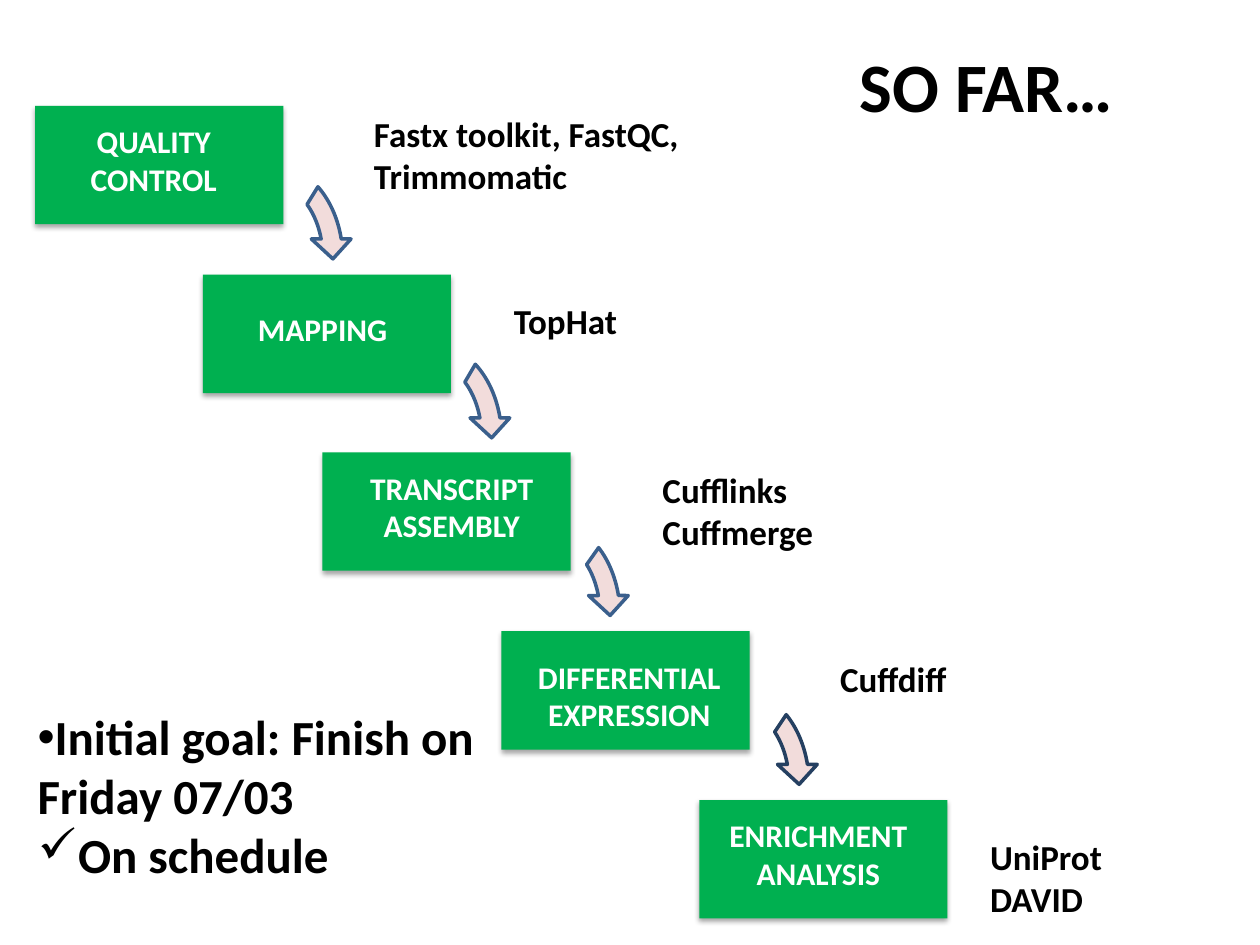
from lxml import etree
from pptx import Presentation, util as u
from pptx.dml.color import RGBColor
from pptx.enum import shapes, text
from pptx.oxml import parse_xml
from pptx.oxml.ns import qn

HUES = {"green": "00B050", "pink": "F2DCDB", "blue": "3A5F8C",
        "navy": "254061", "black": "000000", "white": "FFFFFF"}
NS = "http://schemas.openxmlformats.org/drawingml/2006/main"
SHADE = (f'<a:effectLst xmlns:a="{NS}"><a:outerShdw blurRad="39370" dist="22860" '
         'dir="5400000" rotWithShape="0"><a:srgbClr val="000000">'
         '<a:alpha val="35000"/></a:srgbClr></a:outerShdw></a:effectLst>')


class Deck:
    """Holds the style and the current slide, and draws each kind of element."""

    font = "Calibri"

    def __init__(self):
        self.prs = Presentation()
        self.prs.slide_width = u.Inches(10)
        self.prs.slide_height = u.Inches(7.5)
        self.slide = self.prs.slides.add_slide(self.prs.slide_layouts[6])

    def hue(self, name):
        return RGBColor.from_string(HUES[name])

    def text(self, spot, lines, size, hue="black", center=False, home=None, marks=()):
        box = (home or self.slide).shapes.add_textbox(*map(u.Inches, spot))
        frame = box.text_frame
        frame.word_wrap = True
        for i, line in enumerate(lines):
            para = frame.paragraphs[0] if i == 0 else frame.add_paragraph()
            para.alignment = text.PP_ALIGN.CENTER if center else text.PP_ALIGN.LEFT
            run = para.add_run()
            run.text = line
            run.font.name = self.font
            run.font.size = u.Pt(size)
            run.font.bold = True
            run.font.color.rgb = self.hue(hue)
            if marks:
                self.mark(para, *marks[i])
        return box

    def mark(self, para, face, char):
        props = para._p.get_or_add_pPr()
        props.set("marL", "0")
        props.set("indent", "0")
        etree.SubElement(props, qn("a:buFont")).set("typeface", face)
        etree.SubElement(props, qn("a:buChar")).set("char", char)

    def step(self, left, top, label, lines):
        group = self.slide.shapes.add_group_shape()
        spot = map(u.Inches, (left, top, 1.97, 0.94))
        card = group.shapes.add_shape(shapes.MSO_SHAPE.RECTANGLE, *spot)
        card.fill.solid()
        card.fill.fore_color.rgb = self.hue("green")
        card.line.fill.background()
        card._element.spPr.append(parse_xml(SHADE))
        self.text(label, lines, 18, "white", True, group)

    def arrow(self, left, top, start, edge):
        spot = map(u.Inches, (left, top, 1.26, 1.65))
        bend = self.slide.shapes.add_shape(shapes.MSO_SHAPE.CIRCULAR_ARROW, *spot)
        for i, value in enumerate((0.125, 11.423, 204.577, start, 0.125)):
            bend.adjustments[i] = value
        bend.shadow.inherit = False
        bend.fill.solid()
        bend.fill.fore_color.rgb = self.hue("pink")
        bend.line.color.rgb = self.hue(edge)
        bend.line.width = u.Pt(2)


STEPS = [
    (0.28, 0.84, (0.51, 0.92, 1.42, 0.71), ["QUALITY", "CONTROL"]),
    (1.61, 2.18, (1.85, 2.41, 1.42, 0.4), ["MAPPING"]),
    (2.56, 3.59, (2.8, 3.67, 1.57, 0.71), ["TRANSCRIPT ASSEMBLY"]),
    (3.98, 5.01, (4.13, 5.17, 1.73, 0.71), ["DIFFERENTIAL EXPRESSION"]),
    (5.55, 6.35, (5.63, 6.43, 1.73, 0.71), ["ENRICHMENT ANALYSIS"]),
]
ARROWS = [
    (1.54, 1.23, 181.02, "blue"),
    (2.8, 2.65, 180.26, "blue"),
    (3.74, 4.06, 183.2, "blue"),
    (5.24, 5.4, 182.29, "navy"),
]
TOOLS = [
    ((2.87, 0.84, 3.07, 0.77), ["Fastx toolkit, FastQC,", "Trimmomatic"]),
    ((3.98, 2.33, 1.5, 0.44), ["TopHat"]),
    ((5.16, 3.67, 1.5, 0.77), ["Cufflinks Cuffmerge"]),
    ((6.57, 5.17, 1.5, 0.44), ["Cuffdiff"]),
    ((7.76, 6.58, 1.5, 0.77), ["UniProt", "DAVID"]),
]

deck = Deck()
title = deck.text((6.57, 0.29, 2.52, 0.77), ["SO FAR…"], 39.6, center=True)
title.text_frame.vertical_anchor = text.MSO_ANCHOR.MIDDLE
for step in STEPS:
    deck.step(*step)
deck.text((0.2, 5.56, 3.7, 1.51),
          ["Initial goal: Finish on Friday 07/03", "On schedule"], 28,
          marks=[("Arial", "•"), ("Wingdings", "ü")])
for arrow in ARROWS:
    deck.arrow(*arrow)
for spot, lines in TOOLS:
    deck.text(spot, lines, 20)
deck.prs.save("out.pptx")
